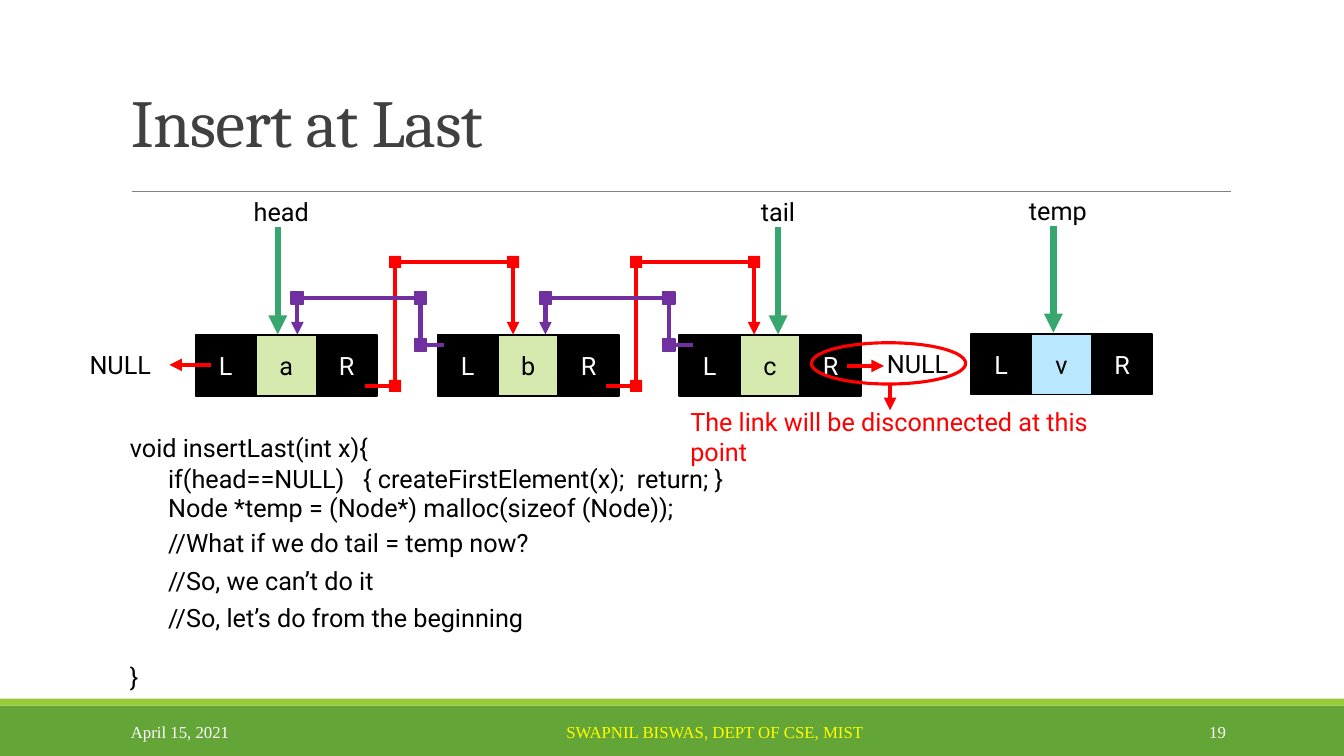
from dataclasses import dataclass
from itertools import pairwise

from lxml.etree import SubElement
from pptx import Presentation
from pptx.dml.color import RGBColor
from pptx.enum.shapes import MSO_CONNECTOR, MSO_SHAPE
from pptx.enum.text import MSO_ANCHOR, PP_ALIGN
from pptx.oxml.ns import qn
from pptx.util import Pt


@dataclass(frozen=True)
class Theme:
    black: str = "000000"
    white: str = "FFFFFF"
    title: str = "404040"
    rule: str = "808080"
    band: str = "63A537"
    stripe: str = "99CB38"
    yellow: str = "FFFF00"
    node: str = "D6EAAF"
    new_node: str = "B9E7FD"
    pointer: str = "37A76F"
    right: str = "FF0000"
    left: str = "7030A0"
    title_font: str = "Cambria"
    body_font: str = "Roboto"
    footer_font: str = "Times New Roman"
    title_size: float = 48
    body_size: float = 18
    footer_size: float = 12


T = Theme()
CELL = 43.2
NODE_TOP = 239.5
DOT = 8.64


def rgb(color):
    return RGBColor.from_string(color)


def write(tf, text, size=T.body_size, font=T.body_font, color=T.black,
          align=PP_ALIGN.LEFT, anchor=MSO_ANCHOR.TOP, wrap=True,
          line_spacing=None, tracking=None):
    tf.word_wrap = wrap
    tf.vertical_anchor = anchor
    p = tf.paragraphs[0]
    p.alignment = align
    p.line_spacing = line_spacing
    r = p.add_run()
    r.text = text
    r.font.size = Pt(size)
    r.font.name = font
    r.font.color.rgb = rgb(color)
    if tracking is not None:
        r._r.get_or_add_rPr().set("spc", str(int(tracking * 100)))


def label(s, text, x, y, w, h=29, **fmt):
    tb = s.shapes.add_textbox(Pt(x), Pt(y), Pt(w), Pt(h))
    write(tb.text_frame, text, **fmt)


def shape(s, x, y, w, h, kind=MSO_SHAPE.RECTANGLE, fill=None, line=None, width=1.25):
    sp = s.shapes.add_shape(kind, Pt(x), Pt(y), Pt(w), Pt(h))
    sp.shadow.inherit = False
    if fill:
        sp.fill.solid()
        sp.fill.fore_color.rgb = rgb(fill)
    else:
        sp.fill.background()
    if line:
        sp.line.color.rgb = rgb(line)
        sp.line.width = Pt(width)
    else:
        sp.line.fill.background()
    return sp


def line(s, start, end, color, width=3, arrow=False):
    cx = s.shapes.add_connector(MSO_CONNECTOR.STRAIGHT, *map(Pt, start + end))
    cx.line.color.rgb = rgb(color)
    cx.line.width = Pt(width)
    if arrow:
        SubElement(cx.line._get_or_add_ln(), qn("a:tailEnd"), type="triangle")
    SubElement(cx._element.spPr, qn("a:effectLst"))


def node(s, value, x, y=NODE_TOP, fill=T.node):
    cells = [("L", 0, T.black, T.white), ("R", 2, T.black, T.white),
             (value, 1, fill, T.black)]
    for text, col, back, color in cells:
        sp = shape(s, x + col * CELL, y, CELL, CELL, fill=back, line=T.black)
        write(sp.text_frame, text, color=color, align=PP_ALIGN.CENTER,
              anchor=MSO_ANCHOR.MIDDLE)


def pointer(s, name, x, label_x, y=136.8):
    line(s, (x, y + 25.5), (x, y + 102), T.pointer, width=4.5, arrow=True)
    label(s, name, label_x, y, 58)


def link(s, points, dx, color, outline=None):
    points = [(x + dx, y) for x, y in points]
    for start, end in pairwise(points):
        line(s, start, end, color, arrow=end == points[-1])
    for x, y in points[1:-1]:
        shape(s, x - DOT / 2, y - DOT / 2, DOT, DOT, fill=color, line=outline)


def frame(s):
    shape(s, 0, 504, 960, 36, fill=T.band)
    shape(s, 0, 499, 960, 5, fill=T.stripe)
    line(s, (94.3, 136.8), (879, 136.8), T.rule, width=0.5)
    label(s, "Insert at Last", 86.4, 4.3, 792, 114.5, size=T.title_size,
          font=T.title_font, color=T.title, anchor=MSO_ANCHOR.BOTTOM,
          line_spacing=0.85, tracking=-0.5)
    footer = dict(size=T.footer_size, font=T.footer_font)
    label(s, "SWAPNIL BISWAS, DEPT OF CSE, MIST", 397.4, 512, 229, 21.6,
          color=T.yellow, wrap=False, **footer)
    footer.update(color=T.white, anchor=MSO_ANCHOR.MIDDLE)
    label(s, "April 15, 2021", 86.4, 508.3, 194.4, **footer)
    label(s, "19", 779.8, 508.3, 103, align=PP_ALIGN.RIGHT, **footer)


def linked_list(s):
    for i, value in enumerate("abc"):
        node(s, value, 139.7 + i * 4 * CELL)
    node(s, "v", 693.5, y=238.7, fill=T.new_node)

    pointer(s, "head", 198.4, 174.2)
    pointer(s, "tail", 555.8, 536.4)
    pointer(s, "temp", 752.4, 727.9, y=135.6)

    to_next = [(260.6, 275.6), (282.2, 275.6), (282.2, 187), (366.5, 187), (366.5, 239)]
    to_previous = [(317.5, 246.6), (300.4, 246.6), (300.4, 213), (212.4, 213), (212.4, 239)]
    for i in range(2):
        link(s, to_next, i * 172.2, T.right)
        link(s, to_previous, i * 177.2, T.left, outline=T.left)

    label(s, "NULL", 56.9, 246.2, 67.7)
    line(s, (150.5, 260.6), (121, 260.6), T.right, arrow=True)
    label(s, "NULL", 626.4, 245.5, 67.7)
    line(s, (604.8, 261.4), (631.4, 261.4), T.right, arrow=True)


def disconnection(s):
    shape(s, 579.6, 244.8, 110.2, 29.5, kind=MSO_SHAPE.OVAL, line=T.right, width=2.25)
    line(s, (635.8, 275), (635.8, 293), T.right, arrow=True)
    label(s, "The link will be disconnected at this point", 486, 286.6, 337.7, color=T.right)


def code(s):
    outer, inner = 85.7, 113
    rows = [
        (outer, 305.3, "void insertLast(int x){"),
        (inner, 327.6, "if(head==NULL)   { createFirstElement(x);  return; }"),
        (inner, 347.8, "Node *temp = (Node*) malloc(sizeof (Node));"),
        (inner, 373, "//What if we do tail = temp now?"),
        (inner, 400.3, "//So, we can’t do it"),
        (inner, 427, "//So, let’s do from the beginning"),
        (outer, 468.7, "}"),
    ]
    for x, y, text in rows:
        label(s, text, x, y, 425.5)


def main():
    prs = Presentation()
    prs.slide_width, prs.slide_height = Pt(960), Pt(540)
    s = prs.slides.add_slide(prs.slide_layouts[6])
    frame(s)
    linked_list(s)
    disconnection(s)
    code(s)
    prs.save("out.pptx")


if __name__ == "__main__":
    main()
